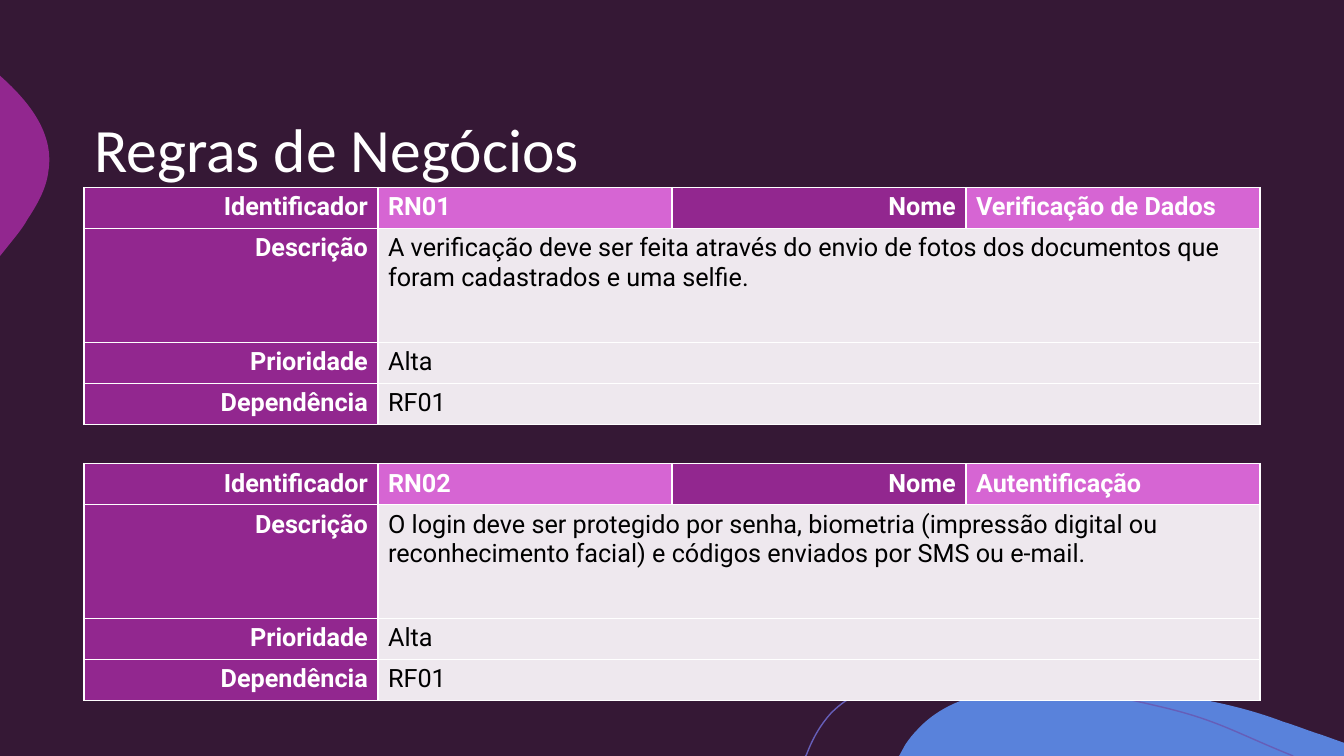
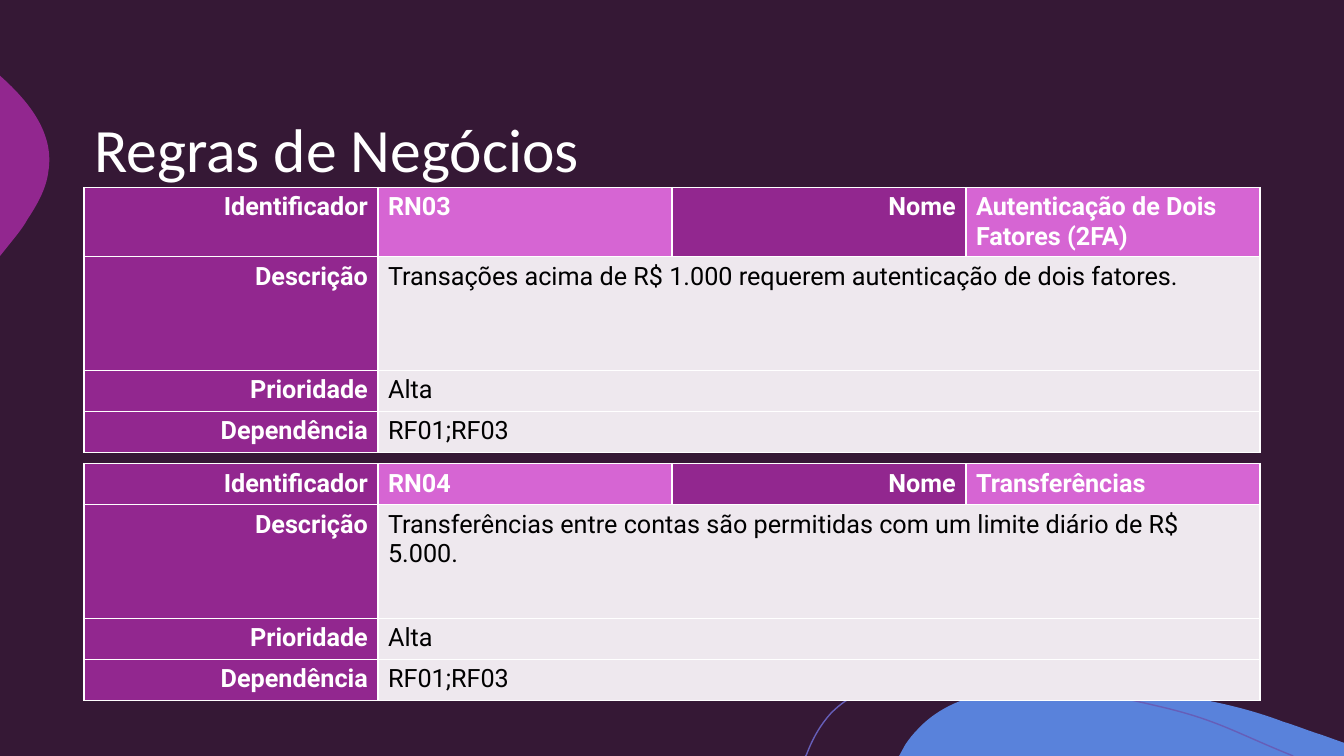
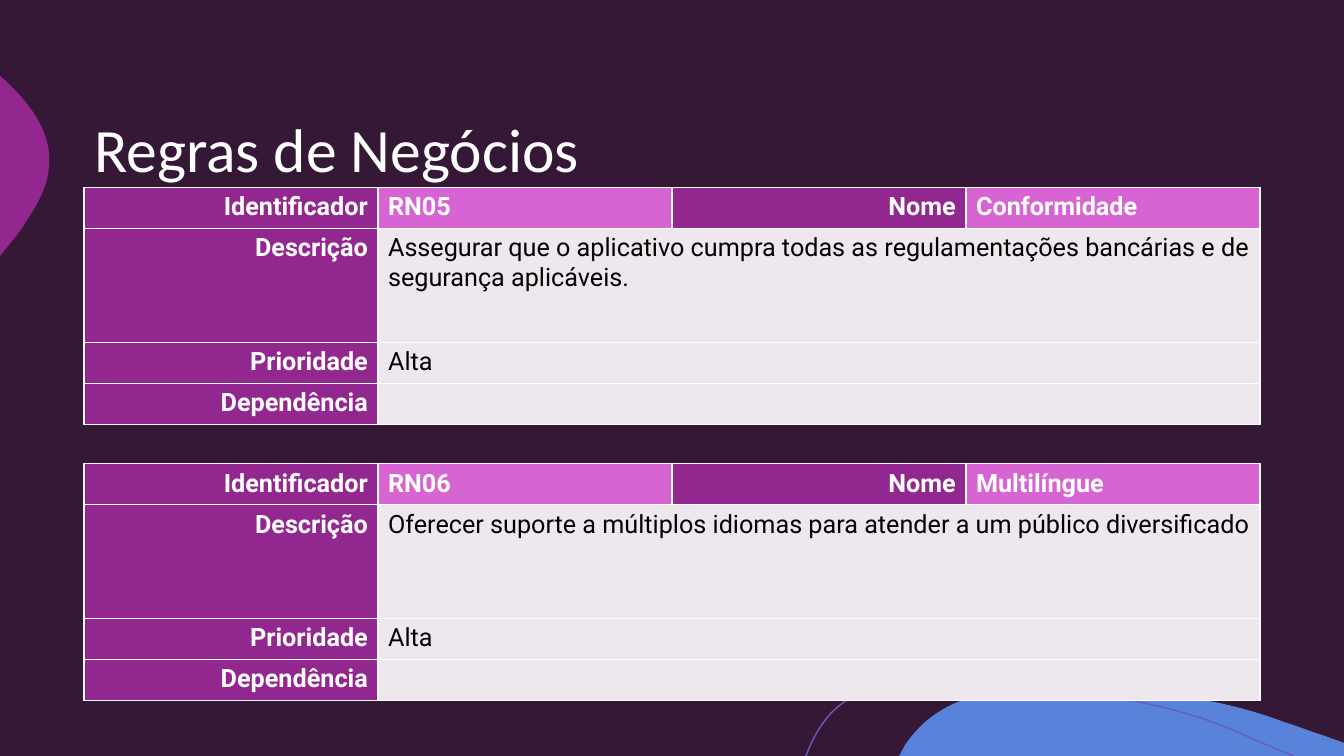
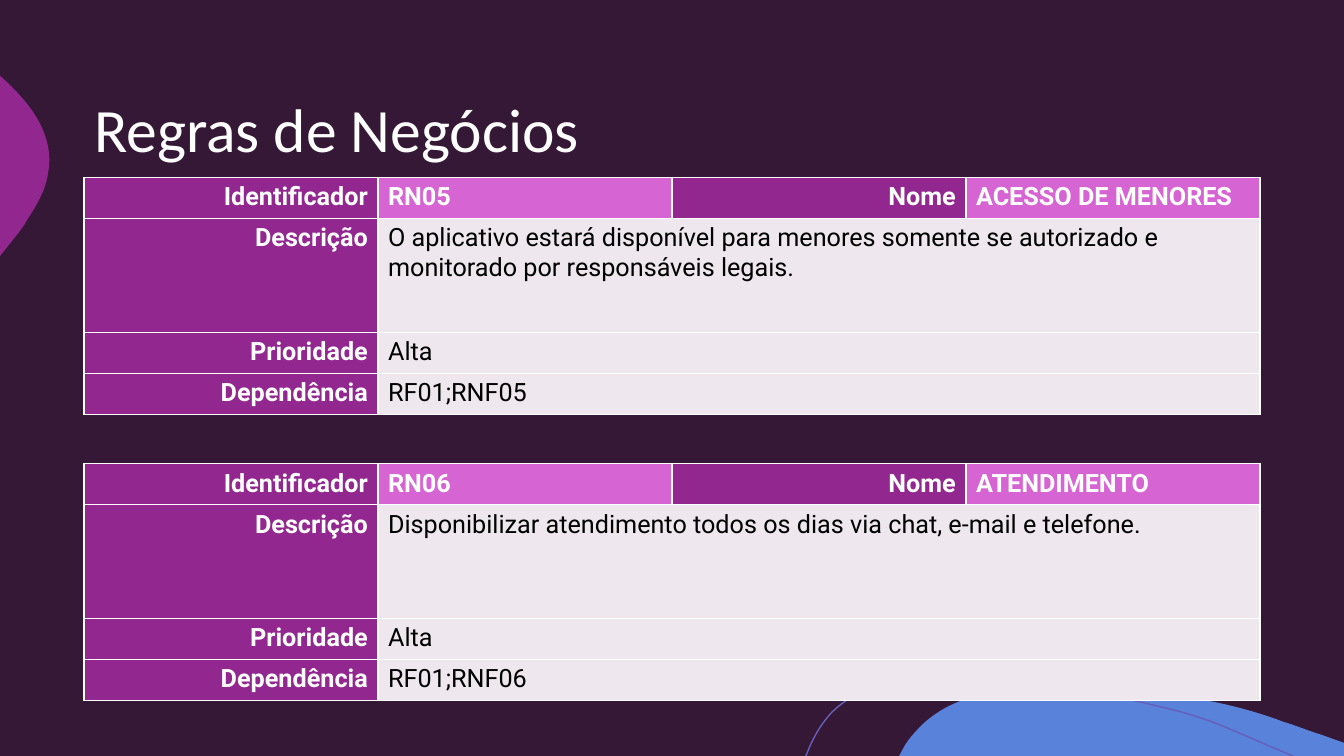
from dataclasses import dataclass

from lxml.etree import SubElement
from pptx import Presentation
from pptx.dml.color import RGBColor
from pptx.enum.text import MSO_ANCHOR, MSO_AUTO_SIZE, PP_ALIGN
from pptx.oxml.ns import qn
from pptx.shapes.autoshape import Shape
from pptx.slide import Slide, SlideLayout
from pptx.table import _Cell as Cell
from pptx.text.text import _Paragraph as Paragraph
from pptx.util import Inches, Pt


@dataclass(frozen=True)
class Theme:
    background: str = "351835"
    purple: str = "92278F"
    pink: str = "D665D3"
    pale: str = "EEE8EE"
    blue: str = "5982DB"
    violet: str = "665EB8"
    white: str = "FFFFFF"
    black: str = "000000"
    title_font: str = "Calibri"
    body_font: str = "Roboto"
    title_size: int = 44
    body_size: int = 18
    line_width: int = 1


@dataclass(frozen=True)
class Outline:
    start: tuple[float, float]
    segments: tuple[tuple[float, ...], ...]
    fill: str | None = None
    line: str | None = None


@dataclass(frozen=True)
class Rule:
    identifier: str
    name: str
    description: str
    dependency: str = ""
    priority: str = "Alta"


@dataclass(frozen=True)
class RulePage:
    upper: Rule
    lower: Rule
    title_top: float = 0.68
    upper_top: float = 1.86


THEME = Theme()
TITLE = "Regras de Negócios"
SLIDE_HEIGHT = 7.5
SLIDE_WIDTH = SLIDE_HEIGHT * 16 / 9
LEFT = SLIDE_WIDTH / 16
WIDTH = SLIDE_WIDTH - 2 * LEFT
TITLE_HEIGHT = 1.67
LOWER_TOP = 4.6
TABLE_HEIGHT = 2.35
DESCRIPTION_HEIGHT = 1.13
SHORT_ROW = (TABLE_HEIGHT - DESCRIPTION_HEIGHT) / 3
ROW_HEIGHTS = (SHORT_ROW, DESCRIPTION_HEIGHT, SHORT_ROW, SHORT_ROW)
COLUMN_COUNT = 4

OUTLINES = (
    Outline(
        (10.54, 6.83),
        (
            (11.28, 6.83, 12.04, 6.9, 12.73, 7.16),
            (12.86, 7.2, 12.98, 7.25, 13.11, 7.29),
            (SLIDE_WIDTH, 7.37),
            (SLIDE_WIDTH, SLIDE_HEIGHT),
            (8.92, SLIDE_HEIGHT),
            (8.98, 7.39),
            (9.02, 7.33, 9.06, 7.28, 9.11, 7.23),
            (9.39, 6.93, 9.82, 6.84, 10.23, 6.83),
            (10.33, 6.83, 10.43, 6.83, 10.54, 6.83),
        ),
        fill=THEME.blue,
    ),
    Outline(
        (0, 0.75),
        (
            (0.01, 0.76),
            (0.3, 1.02, 0.54, 1.33, 0.48, 1.7),
            (0.46, 1.87, 0.37, 2.03, 0.27, 2.18),
            (0.24, 2.24, 0.17, 2.33, 0.08, 2.44),
            (0, 2.54),
        ),
        fill=THEME.purple,
    ),
    Outline(
        (7.99, SLIDE_HEIGHT),
        (
            (8, 7.49),
            (8.06, 7.33, 8.14, 7.19, 8.24, 7.08),
            (8.5, 6.81, 8.89, 6.73, 9.26, 6.72),
            (9.55, 6.72),
            (10.22, 6.72, 11, 6.89, 11.55, 7.02),
            (12.09, 7.15, 12.26, 7.27, 12.83, SLIDE_HEIGHT),
        ),
        line=THEME.violet,
    ),
)

PAGES = (
    RulePage(
        Rule(
            "RN01",
            "Verificação de Dados",
            "A verificação deve ser feita através do envio de fotos dos documentos "
            "que foram cadastrados e uma selfie.",
            "RF01",
        ),
        Rule(
            "RN02",
            "Autentificação",
            "O login deve ser protegido por senha, biometria (impressão digital ou "
            "reconhecimento facial) e códigos enviados por SMS ou e-mail.",
            "RF01",
        ),
    ),
    RulePage(
        Rule(
            "RN03",
            "Autenticação de Dois Fatores (2FA)",
            "Transações acima de R$ 1.000 requerem autenticação de dois fatores.",
            "RF01;RF03",
        ),
        Rule(
            "RN04",
            "Transferências",
            "Transferências entre contas são permitidas com um limite diário de R$ 5.000.",
            "RF01;RF03",
        ),
    ),
    RulePage(
        Rule(
            "RN05",
            "Conformidade",
            "Assegurar que o aplicativo cumpra todas as regulamentações bancárias "
            "e de segurança aplicáveis.",
        ),
        Rule(
            "RN06",
            "Multilíngue",
            "Oferecer suporte a múltiplos idiomas para atender a um público diversificado",
        ),
    ),
    RulePage(
        Rule(
            "RN05",
            "ACESSO DE MENORES",
            "O aplicativo estará disponível para menores somente se autorizado e "
            "monitorado por responsáveis legais.",
            "RF01;RNF05",
        ),
        Rule(
            "RN06",
            "ATENDIMENTO",
            "Disponibilizar atendimento todos os dias via chat, e-mail e telefone.",
            "RF01;RNF06",
        ),
        title_top=0.48,
        upper_top=1.76,
    ),
)


def color(value: str) -> RGBColor:
    return RGBColor.from_string(value)


def add_span(para: Paragraph, text: str, font: str, size: int, ink: str, bold: bool) -> None:
    span = para.add_run()
    span.text = text
    span.font.name = font
    span.font.size = Pt(size)
    span.font.bold = bold
    span.font.color.rgb = color(ink)


def bend_segments(shape: Shape, segments: tuple[tuple[float, ...], ...]) -> None:
    lines = list(shape.element.iter(qn("a:lnTo")))
    for line, segment in zip(lines, segments):
        if len(segment) == 2:
            continue
        line.tag = qn("a:cubicBezTo")
        for point in list(line):
            line.remove(point)
        for x, y in zip(segment[::2], segment[1::2]):
            SubElement(
                line, qn("a:pt"),
                x=str(Inches(x) - shape.left), y=str(Inches(y) - shape.top),
            )


def add_outline(page: Slide, layout: SlideLayout, outline: Outline) -> None:
    start_x, start_y = outline.start
    builder = page.shapes.build_freeform(Inches(start_x), Inches(start_y))
    ends = [(Inches(segment[-2]), Inches(segment[-1])) for segment in outline.segments]
    builder.add_line_segments(ends, close=outline.fill is not None)
    shape = builder.convert_to_shape()
    bend_segments(shape, outline.segments)
    shape.shadow.inherit = False
    if outline.fill:
        shape.fill.solid()
        shape.fill.fore_color.rgb = color(outline.fill)
    else:
        shape.fill.background()
    if outline.line:
        shape.line.color.rgb = color(outline.line)
        shape.line.width = Pt(THEME.line_width)
    else:
        shape.line.fill.background()
    layout.shapes.element.append(shape.element)


def set_title(page: Slide, top: float) -> None:
    box = page.shapes.title
    box.left, box.top = Inches(LEFT), Inches(top)
    box.width, box.height = Inches(WIDTH), Inches(TITLE_HEIGHT)
    frame = box.text_frame
    frame.auto_size = MSO_AUTO_SIZE.NONE
    frame.vertical_anchor = MSO_ANCHOR.MIDDLE
    para = frame.paragraphs[0]
    para.alignment = PP_ALIGN.LEFT
    para.line_spacing = 0.9
    add_span(para, TITLE, THEME.title_font, THEME.title_size, THEME.white, False)


def add_borders(cell: Cell) -> None:
    properties = cell._tc.get_or_add_tcPr()
    for side in ("a:lnL", "a:lnR", "a:lnT", "a:lnB"):
        border = SubElement(properties, qn(side), w=str(Pt(THEME.line_width)))
        fill = SubElement(border, qn("a:solidFill"))
        SubElement(fill, qn("a:srgbClr"), val=THEME.white)


def fill_cell(cell: Cell, text: str, fill: str, ink: str, bold: bool, align: PP_ALIGN) -> None:
    cell.fill.solid()
    cell.fill.fore_color.rgb = color(fill)
    para = cell.text_frame.paragraphs[0]
    para.alignment = align
    if text:
        add_span(para, text, THEME.body_font, THEME.body_size, ink, bold)


def fill_label(cell: Cell, text: str) -> None:
    fill_cell(cell, text, THEME.purple, THEME.white, True, PP_ALIGN.RIGHT)


def fill_heading(cell: Cell, text: str) -> None:
    fill_cell(cell, text, THEME.pink, THEME.white, True, PP_ALIGN.LEFT)


def fill_value(cell: Cell, text: str) -> None:
    fill_cell(cell, text, THEME.pale, THEME.black, False, PP_ALIGN.LEFT)


def add_rule_table(page: Slide, rule: Rule, top: float) -> None:
    table = page.shapes.add_table(
        len(ROW_HEIGHTS), COLUMN_COUNT,
        Inches(LEFT), Inches(top), Inches(WIDTH), Inches(TABLE_HEIGHT),
    ).table
    table.first_row = False
    table.horz_banding = False
    for row, height in zip(table.rows, ROW_HEIGHTS):
        row.height = Inches(height)
    for cell in table.iter_cells():
        add_borders(cell)

    fill_label(table.cell(0, 0), "Identificador")
    fill_heading(table.cell(0, 1), rule.identifier)
    fill_label(table.cell(0, 2), "Nome")
    fill_heading(table.cell(0, 3), rule.name)

    details = (
        ("Descrição", rule.description),
        ("Prioridade", rule.priority),
        ("Dependência", rule.dependency),
    )
    for row_index, (label, value) in enumerate(details, start=1):
        fill_label(table.cell(row_index, 0), label)
        value_cell = table.cell(row_index, 1)
        value_cell.merge(table.cell(row_index, COLUMN_COUNT - 1))
        fill_value(value_cell, value)


def main() -> None:
    deck = Presentation()
    deck.slide_width, deck.slide_height = Inches(SLIDE_WIDTH), Inches(SLIDE_HEIGHT)
    layout = deck.slide_layouts.get_by_name("Title Only")
    layout.background.fill.solid()
    layout.background.fill.fore_color.rgb = color(THEME.background)

    for rule_page in PAGES:
        page = deck.slides.add_slide(layout)
        set_title(page, rule_page.title_top)
        add_rule_table(page, rule_page.upper, rule_page.upper_top)
        add_rule_table(page, rule_page.lower, LOWER_TOP)

    for outline in OUTLINES:
        add_outline(deck.slides[0], layout, outline)
    deck.save("out.pptx")


if __name__ == "__main__":
    main()
